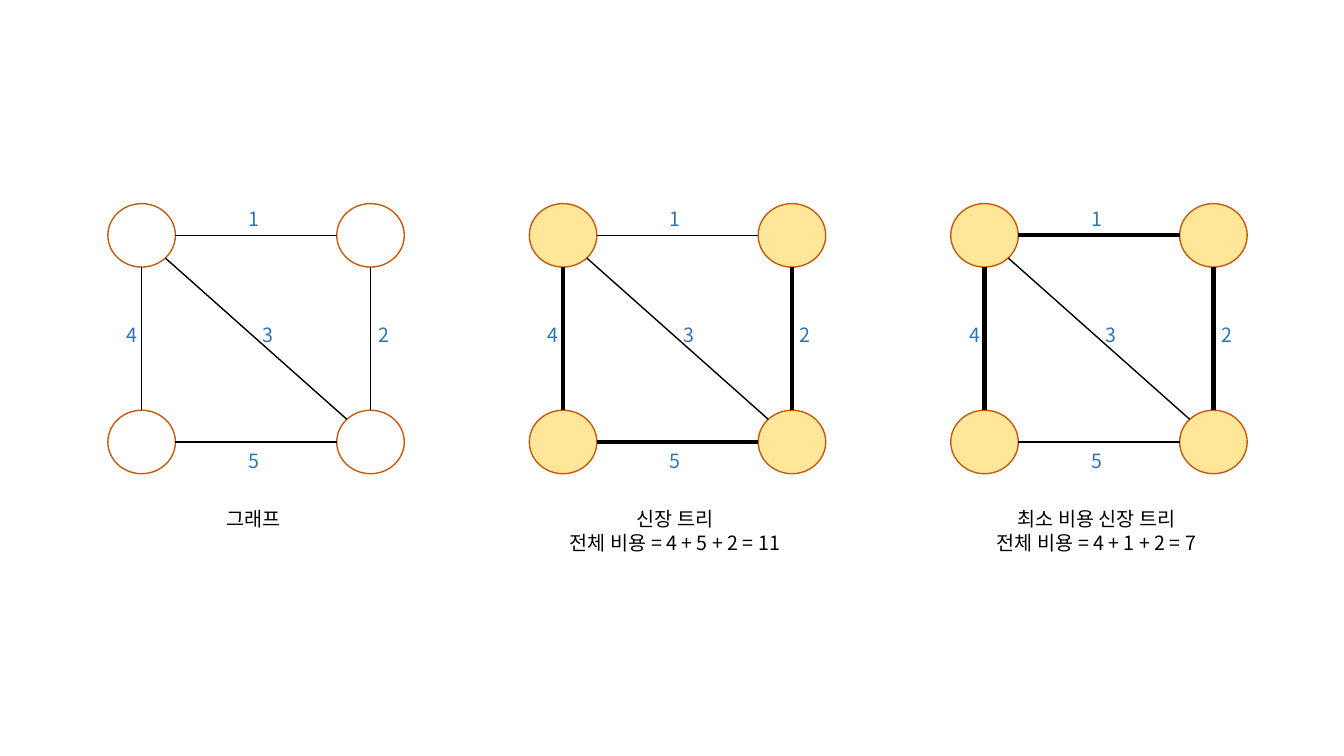
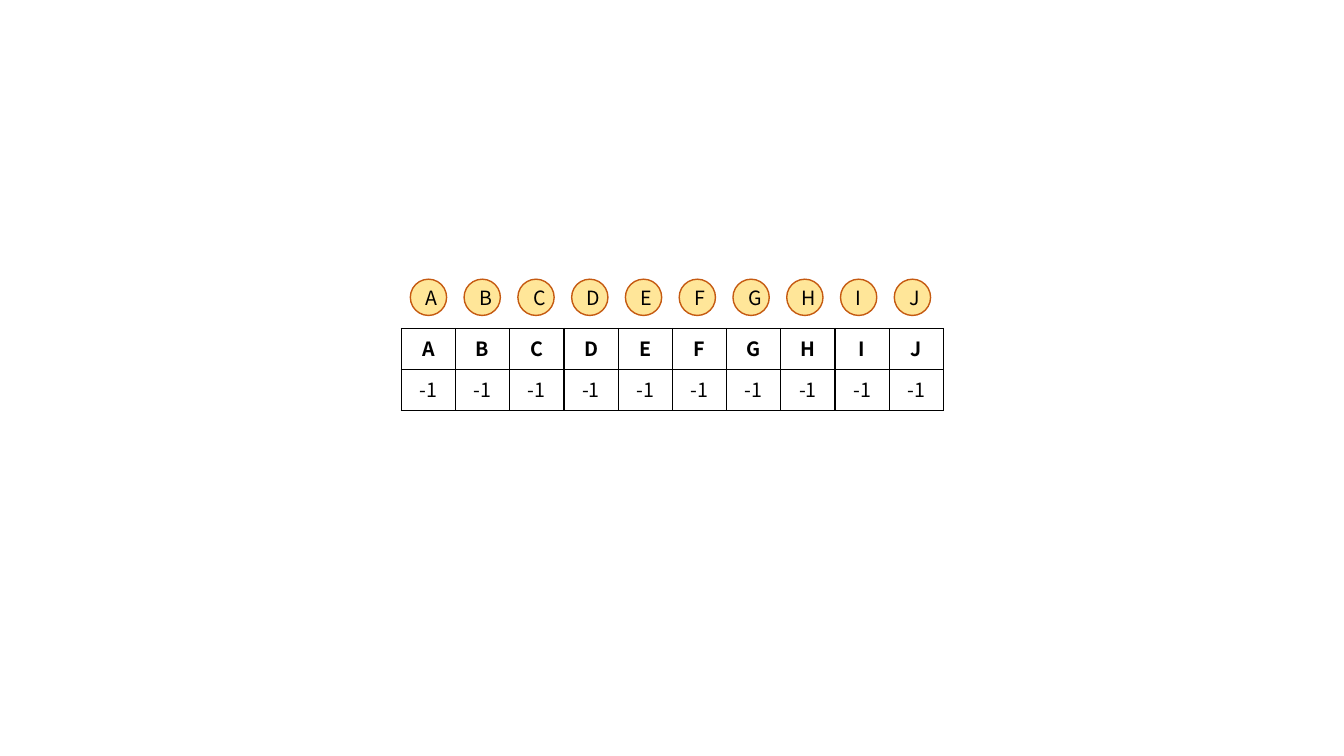
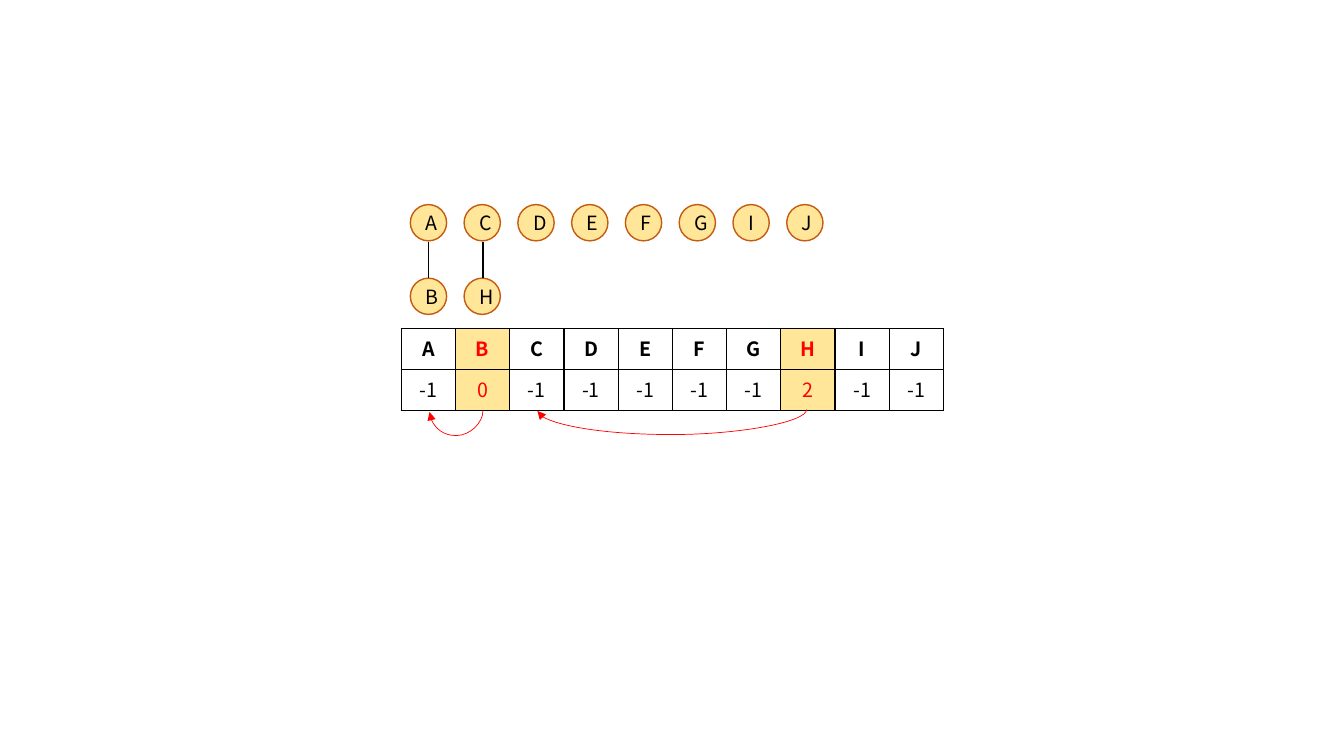
from lxml.etree import SubElement as Sub
from pptx import Presentation
from pptx.dml.color import RGBColor
from pptx.enum.shapes import MSO_CONNECTOR as Conn, MSO_SHAPE as Form
from pptx.enum.text import MSO_ANCHOR as Anchor, PP_ALIGN as Align
from pptx.oxml.ns import qn
from pptx.util import Inches, Pt

FONT = "Noto Sans CJK KR"
SIZE = 14
BLACK, BLUE, RED = "000000", "2E75B6", "FF0000"
GOLD, RUST = "FFE699", "C55A11"
NAMES = "ABCDEFGHIJ"


def color(code):
    return RGBColor.from_string(code)


class Deck:
    """Shared style and the slide being drawn."""

    def __init__(self):
        self.prs = Presentation()
        self.prs.slide_width = Inches(13.33)
        self.prs.slide_height = Inches(7.5)
        self.slide = None

    def page(self):
        self.slide = self.prs.slides.add_slide(self.prs.slide_layouts[6])

    def text(self, frame, lines, ink=BLACK, bold=False):
        for i, line in enumerate(lines):
            para = frame.paragraphs[0] if i == 0 else frame.add_paragraph()
            para.alignment = Align.CENTER
            run = para.add_run()
            run.text = line
            font = run.font
            font.name, font.size, font.bold = FONT, Pt(SIZE), bold
            font.color.rgb = color(ink)
            Sub(run._r.get_or_add_rPr(), qn("a:ea"), typeface=FONT)

    def fill(self, part, code):
        if code:
            part.fill.solid()
            part.fill.fore_color.rgb = color(code)
        else:
            part.fill.background()

    def label(self, x, y, w, lines, ink=BLACK):
        tall = 0.34 + 0.23 * (len(lines) - 1)
        box = self.slide.shapes.add_textbox(
            Inches(x), Inches(y), Inches(w), Inches(tall))
        box.text_frame.word_wrap = True
        self.text(box.text_frame, lines, ink)

    def node(self, x, y, w, h, code=GOLD, name=None):
        oval = self.slide.shapes.add_shape(
            Form.OVAL, Inches(x), Inches(y), Inches(w), Inches(h))
        oval.shadow.inherit = False
        self.fill(oval, code)
        oval.line.color.rgb = color(RUST)
        oval.line.width = Pt(1)
        if name:
            oval.text_frame.vertical_anchor = Anchor.MIDDLE
            self.text(oval.text_frame, [name])

    def line(self, x1, y1, x2, y2, ink=BLACK, thick=1, kind=Conn.STRAIGHT):
        link = self.slide.shapes.add_connector(
            kind, Inches(x1), Inches(y1), Inches(x2), Inches(y2))
        link.line.color.rgb = color(ink)
        link.line.width = Pt(thick)
        Sub(link._element.spPr, qn("a:effectLst"))
        return link

    def curve(self, x1, x2, y):
        """Arrow that dips below y on its way left from x1 to x2."""
        mid, half, thin = (x1 + x2) / 2, (x1 - x2) / 2, 1 / 72
        link = self.line(mid - thin / 2, y - half, mid + thin / 2, y + half,
                         RED, 0.5, Conn.CURVE)
        props = link._element.spPr
        # A quarter turn lays the upright curve on its side
        props.find(qn("a:xfrm")).set("rot", "5400000")
        geom = props.find(qn("a:prstGeom"))
        guides = geom.find(qn("a:avLst"))
        if guides is None:
            guides = Sub(geom, qn("a:avLst"))
        Sub(guides, qn("a:gd"), name="adj1", fmla="val 1800000")
        Sub(props.find(qn("a:ln")), qn("a:tailEnd"), type="triangle")

    def table(self, x, y, w, h, rows, marks=()):
        count = len(rows[0])
        grid = self.slide.shapes.add_table(
            len(rows), count, Inches(x), Inches(y), Inches(w), Inches(h)).table
        grid.first_row = grid.horz_banding = False
        for col in grid.columns:
            col.width = Inches(w / count)
        for r, row in enumerate(rows):
            for c, name in enumerate(row):
                cell, hot = grid.cell(r, c), c in marks
                self.text(cell.text_frame, [name], RED if hot else BLACK, r == 0)
                self.edge(cell)
                self.fill(cell, GOLD if hot else None)

    def edge(self, cell):
        props = cell._tc.get_or_add_tcPr()
        for side in ("lnL", "lnR", "lnT", "lnB"):
            rim = Sub(props, qn("a:" + side), w=str(Pt(1)))
            Sub(Sub(rim, qn("a:solidFill")), qn("a:srgbClr"), val=BLACK)


def graph(deck, x, code, bold, lines):
    """Four nodes in a square; bold holds the costs of the tree edges."""
    w, h, top, low = 0.67, 0.63, 2.02, 4.07
    right = x + 2.27
    a, b = x + w / 2, right + w / 2
    up, down = top + h / 2, low + h / 2
    # Cost: edge ends, then label place
    edges = {
        1: (x + w, up, right, up, x + w, 2),
        2: (b, low, b, top + h, x + 1.96, 3.15),
        3: (right + 0.1, 4.16, x + 0.57, 2.56, x + 0.81, 3.15),
        4: (a, low, a, top + h, x - 0.54, 3.15),
        5: (x + w, down, right, down, x + w, 4.4),
    }
    for left in (x, right):
        for y in (top, low):
            deck.node(left, y, w, h, code)
    for cost, (x1, y1, x2, y2, lx, ly) in edges.items():
        deck.line(x1, y1, x2, y2, thick=3 if cost in bold else 1)
        deck.label(lx, ly, 1.55, [str(cost)], BLUE)
    deck.label(x - 0.91, 4.98, 4.71, lines)


def chain(deck, names, y):
    """Row of small named nodes at equal steps."""
    for i, name in enumerate(names):
        deck.node(4.07 + i * 4.8 / 9, y, 0.36, 0.36, GOLD, name)


def main():
    deck = Deck()
    spot = (3.98, 3.26, 5.38, 0.81)

    # Graph and its spanning trees
    deck.page()
    trees = [
        (None, (), ["그래프"]),
        (GOLD, (4, 5, 2), ["신장 트리", "전체 비용 = 4 + 5 + 2 = 11"]),
        (GOLD, (4, 1, 2), ["최소 비용 신장 트리", "전체 비용 = 4 + 1 + 2 = 7"]),
    ]
    for i, (code, bold, lines) in enumerate(trees):
        graph(deck, 1.07 + i * 4.18, code, bold, lines)

    # Every node is its own root
    deck.page()
    roots = ["-1"] * len(NAMES)
    chain(deck, NAMES, 2.77)
    deck.table(*spot, [NAMES, roots])

    # B joined to A, H joined to C
    deck.page()
    links = {"B": "A", "H": "C"}
    marks = [NAMES.index(kid) for kid in links]
    for kid, head in links.items():
        roots[NAMES.index(kid)] = str(NAMES.index(head))
    chain(deck, [n for n in NAMES if n not in links], 2.03)
    chain(deck, links, 2.76)
    deck.table(*spot, [NAMES, roots], marks)
    for x in (4.25, 4.79):
        deck.line(x, 2.76, x, 2.4)
    deck.curve(4.79, 4.26, 4.08)
    deck.curve(8, 5.33, 4.07)

    deck.prs.save("out.pptx")


if __name__ == "__main__":
    main()
